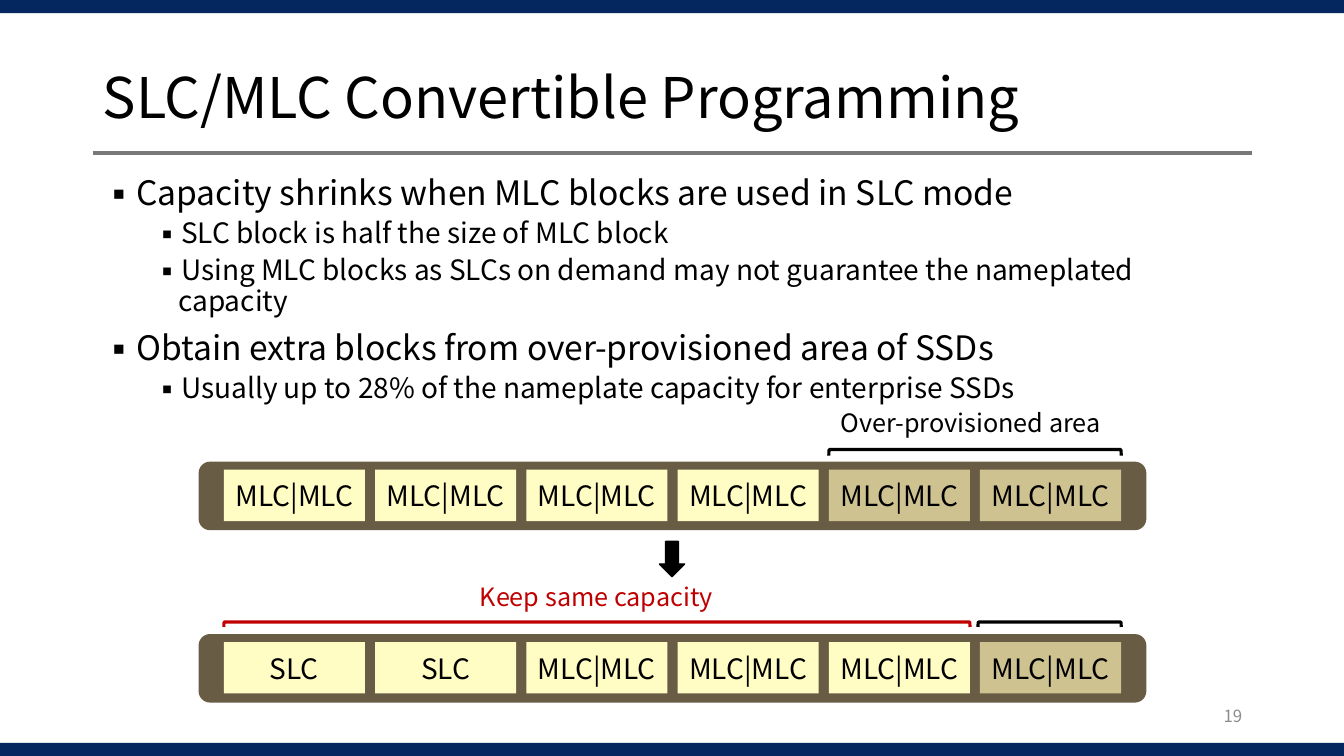
from dataclasses import dataclass

from lxml.etree import SubElement
from pptx import Presentation
from pptx.dml.color import RGBColor
from pptx.enum.shapes import MSO_CONNECTOR as Connector, MSO_SHAPE as Preset
from pptx.enum.text import MSO_ANCHOR as Anchor, MSO_AUTO_SIZE as AutoSize, PP_ALIGN as Align
from pptx.oxml.ns import qn
from pptx.shapes.autoshape import Shape
from pptx.slide import Slide
from pptx.text.text import _Paragraph as Paragraph
from pptx.util import Inches, Pt

FONT = "Noto Sans CJK KR"
COLORS = {
    "navy": "03275E", "rule": "797778", "black": "000000", "gray": "8C8C8C",
    "brown": "695C45", "cream": "FFFCC4", "tan": "CFC291", "red": "C00000",
}
BLOCK_LEFT, BLOCK_PITCH, BLOCK_WIDTH, BLOCK_HEIGHT = 2.22, 1.5, 1.4, 0.51


@dataclass
class Bullet:
    text: str
    level: int = 0


@dataclass
class Bracket:
    left: float
    top: float
    width: float
    height: float
    color: str = "black"


@dataclass
class Label:
    text: str
    left: float
    top: float
    width: float
    align: Align
    size: int = 18
    color: str = "black"


@dataclass
class Drive:
    top: float
    blocks: list[str]
    spare_count: int


BULLETS = [
    Bullet("Capacity shrinks when MLC blocks are used in SLC mode"),
    Bullet("SLC block is half the size of MLC block", 1),
    Bullet("Using MLC blocks as SLCs on demand may not guarantee the nameplated capacity", 1),
    Bullet("Obtain extra blocks from over-provisioned area of SSDs"),
    Bullet("Usually up to 28% of the nameplate capacity for enterprise SSDs", 1),
]
DRIVES = [
    Drive(4.58, ["MLC|MLC"] * 6, 2),
    Drive(6.29, ["SLC"] * 2 + ["MLC|MLC"] * 4, 1),
]
BRACKETS = [
    Bracket(8.22, 4.46, 2.9, 0.06),
    Bracket(9.7, 6.17, 1.42, 0.05),
    Bracket(2.22, 6.17, 7.4, 0.05, "red"),
]
LABELS = [
    Label("Over-provisioned area", 8.24, 3.99, 2.83, Align.LEFT),
    Label("Keep same capacity", 4.65, 5.72, 2.53, Align.CENTER, color="red"),
    Label("19", 9.42, 6.9, 3, Align.RIGHT, 12, "gray"),
]


def rgb(name: str) -> RGBColor:
    """Look up a named colour."""
    return RGBColor.from_string(COLORS[name])


def set_font(paragraph: Paragraph, size: int, color: str = "black") -> None:
    """Format the font of a whole paragraph."""
    paragraph.font.name = FONT
    paragraph.font.size = Pt(size)
    paragraph.font.color.rgb = rgb(color)


def add_filled(slide: Slide, preset: Preset, left: float, top: float,
               width: float, height: float, color: str) -> Shape:
    """Add a flat shape without an outline."""
    shape = slide.shapes.add_shape(preset, Inches(left), Inches(top), Inches(width), Inches(height))
    shape.shadow.inherit = False
    shape.fill.solid()
    shape.fill.fore_color.rgb = rgb(color)
    shape.line.fill.background()
    return shape


def add_frame(slide: Slide) -> None:
    """Add the edge bands and the rule below the title."""
    for top in (0, 7.37):
        add_filled(slide, Preset.RECTANGLE, 0, top, 13.33, 0.13, "navy")
    rule = slide.shapes.add_connector(
        Connector.STRAIGHT, Inches(0.92), Inches(1.52), Inches(12.42), Inches(1.52))
    rule.line.color.rgb = rgb("rule")
    rule.line.width = Pt(3)
    SubElement(rule._element.spPr, qn("a:effectLst"))


def set_title(slide: Slide, text: str) -> None:
    """Place and format the title."""
    title = slide.shapes.title
    title.left, title.top = Inches(0.92), Inches(0.51)
    title.width, title.height = Inches(11.5), Inches(0.98)
    frame = title.text_frame
    frame.text = text
    frame.auto_size = AutoSize.NONE
    frame.vertical_anchor = Anchor.MIDDLE
    paragraph = frame.paragraphs[0]
    paragraph.alignment = Align.LEFT
    paragraph.line_spacing = 0.9
    set_font(paragraph, 40)


def add_bullets(slide: Slide, bullets: list[Bullet]) -> None:
    """Add the bulleted body text."""
    box = slide.shapes.add_textbox(Inches(0.92), Inches(1.7), Inches(11.5), Inches(2.4))
    frame = box.text_frame
    frame.word_wrap = True
    for index, bullet in enumerate(bullets):
        paragraph = frame.add_paragraph() if index else frame.paragraphs[0]
        paragraph.text = bullet.text
        paragraph.level = bullet.level
        paragraph.line_spacing = 0.9
        paragraph.space_before = Pt((5 if bullet.level else 10) if index else 0)
        properties = paragraph._p.get_or_add_pPr()
        properties.set("marL", str(Inches(0.25 + 0.5 * bullet.level)))
        properties.set("indent", str(Inches(-0.25)))
        SubElement(properties, qn("a:buFont"), typeface=FONT)
        SubElement(properties, qn("a:buChar"), char="▪")
        set_font(paragraph, 20 if bullet.level else 24)


def add_drive(slide: Slide, drive: Drive) -> None:
    """Add a drive with its row of blocks, spare ones last."""
    add_filled(slide, Preset.ROUNDED_RECTANGLE, 1.97, drive.top, 9.4, 0.68, "brown")
    first_spare = len(drive.blocks) - drive.spare_count
    for index, text in enumerate(drive.blocks):
        block = add_filled(
            slide, Preset.RECTANGLE, BLOCK_LEFT + index * BLOCK_PITCH, drive.top + 0.08,
            BLOCK_WIDTH, BLOCK_HEIGHT, "cream" if index < first_spare else "tan")
        frame = block.text_frame
        frame.text = text
        frame.word_wrap = False
        frame.vertical_anchor = Anchor.MIDDLE
        frame.margin_left = frame.margin_right = Inches(0.13)
        frame.margin_top = frame.margin_bottom = Inches(0.06)
        frame.paragraphs[0].alignment = Align.CENTER
        set_font(frame.paragraphs[0], 20)


def add_bracket(slide: Slide, bracket: Bracket) -> None:
    """Add a bracket that opens downwards over the given area."""
    shape = slide.shapes.add_shape(
        Preset.LEFT_BRACKET,
        Inches(bracket.left + (bracket.width - bracket.height) / 2),
        Inches(bracket.top + (bracket.height - bracket.width) / 2),
        Inches(bracket.height), Inches(bracket.width))
    shape.rotation = 90
    shape.shadow.inherit = False
    shape.fill.background()
    shape.line.color.rgb = rgb(bracket.color)
    shape.line.width = Pt(2.25)


def add_label(slide: Slide, label: Label) -> None:
    """Add a one-line text label."""
    box = slide.shapes.add_textbox(
        Inches(label.left), Inches(label.top), Inches(label.width), Inches(0.4))
    frame = box.text_frame
    frame.text = label.text
    frame.word_wrap = label.align == Align.RIGHT
    frame.vertical_anchor = Anchor.MIDDLE
    frame.paragraphs[0].alignment = label.align
    set_font(frame.paragraphs[0], label.size, label.color)


def main() -> None:
    """Build the slide and save it."""
    presentation = Presentation()
    presentation.slide_width, presentation.slide_height = Inches(13.33), Inches(7.5)
    slide = presentation.slides.add_slide(presentation.slide_layouts.get_by_name("Title Only"))
    add_frame(slide)
    set_title(slide, "SLC/MLC Convertible Programming")
    add_bullets(slide, BULLETS)
    arrow = add_filled(slide, Preset.DOWN_ARROW, 6.54, 5.37, 0.25, 0.35, "black")
    arrow.line.color.rgb = rgb("black")
    arrow.line.width = Pt(1)
    for drive in DRIVES:
        add_drive(slide, drive)
    for bracket in BRACKETS:
        add_bracket(slide, bracket)
    for label in LABELS:
        add_label(slide, label)
    presentation.save("out.pptx")


if __name__ == "__main__":
    main()
